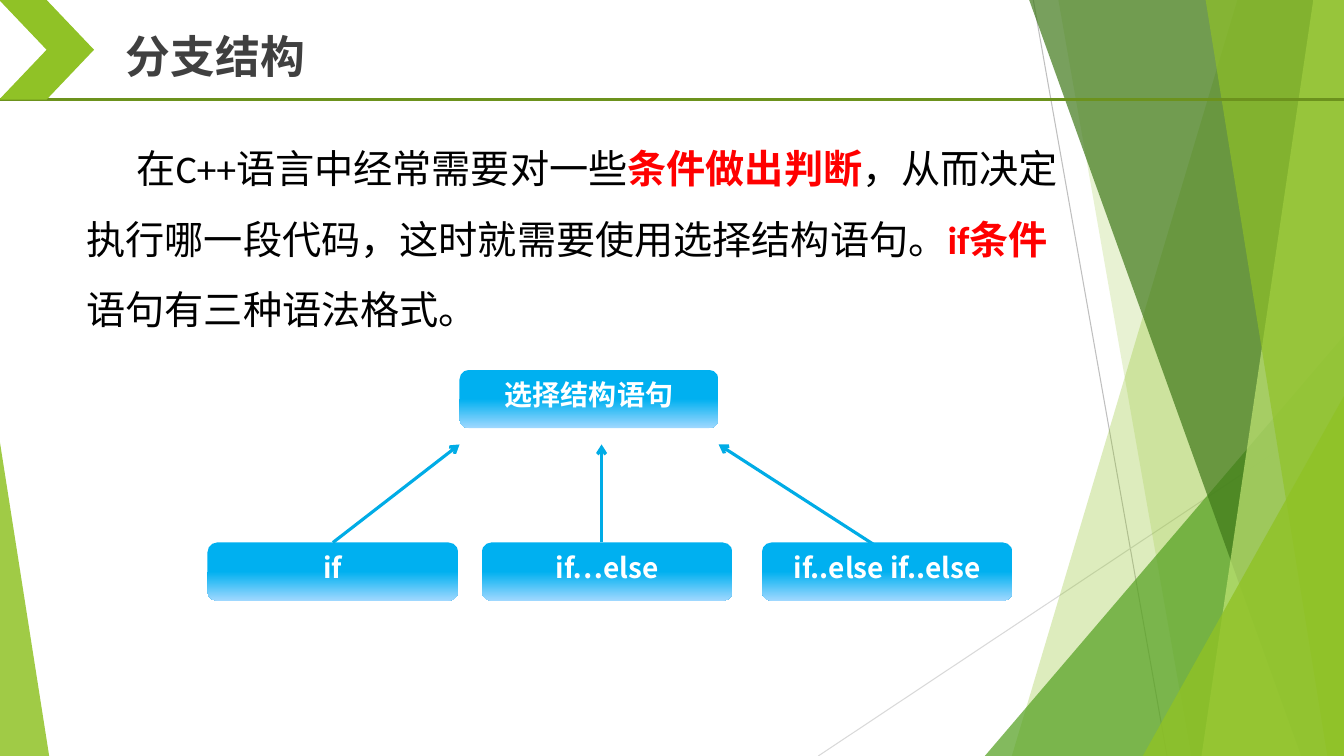
from copy import deepcopy

from pptx import Presentation
from pptx import util as u
from pptx.dml.color import RGBColor
from pptx.enum import shapes, text
from pptx.oxml.ns import qn
from lxml import etree

LIME = RGBColor(0x90, 0xC2, 0x26)
PALE_LIME = RGBColor(0xC0, 0xE4, 0x74)
GREEN = RGBColor(0x54, 0xA0, 0x21)
DARK_GREEN = RGBColor(0x3F, 0x78, 0x19)
OLIVE = RGBColor(0x6C, 0x92, 0x1D)
GREY = RGBColor(0xBF, 0xBF, 0xBF)
LIGHT_GREY = RGBColor(0xD9, 0xD9, 0xD9)
CHARCOAL = RGBColor(0x40, 0x40, 0x40)
BLACK = RGBColor(0, 0, 0)
RED = RGBColor(0xFF, 0, 0)
WHITE = RGBColor(0xFF, 0xFF, 0xFF)
SKY = RGBColor(0x00, 0xB0, 0xF0)
PALE_SKY = RGBColor(0x9F, 0xD8, 0xFF)
ARROW_BLUE = RGBColor(0x00, 0xAC, 0xE6)

CJK = "Noto Sans CJK SC"
W, H = 33.87, 19.05
BLEED = -0.02


class Deck:
    """Holds the text styles and the current slide."""

    heading = dict(name=CJK, size=u.Pt(32), bold=True, color=CHARCOAL)
    body = dict(name="Calibri", size=u.Pt(28), bold=False, color=BLACK)
    key = dict(body, bold=True, color=RED)
    label = dict(name=CJK, size=u.Pt(20), bold=True, color=WHITE)

    def __init__(self, prs):
        self.s = prs.slides.add_slide(prs.slide_layouts[6])

    def run(self, p, words, style):
        r = p.add_run()
        r.text = words
        for k, v in style.items():
            if k == "color":
                r.font.color.rgb = v
            else:
                setattr(r.font, k, v)
        ea = etree.SubElement(r.font._element, qn("a:ea"))
        ea.set("typeface", CJK)

    def paint(self, sp, color, opacity=100):
        sp.shadow.inherit = False
        sp.line.fill.background()
        sp.fill.solid()
        sp.fill.fore_color.rgb = color
        if opacity < 100:
            clr = sp._element.spPr.find(".//" + qn("a:srgbClr"))
            etree.SubElement(clr, qn("a:alpha")).set("val", str(opacity * 1000))

    def preset(self, kind, box, color, opacity=100, adj=None):
        sp = self.s.shapes.add_shape(kind, *map(u.Cm, box))
        if adj is not None:
            sp.adjustments[0] = adj
        self.paint(sp, color, opacity)
        return sp

    def band(self, top_x, bottom_x, color, opacity):
        """Slanted band running from its left edge to the slide's right side."""
        pts = [(top_x, BLEED), (W, BLEED), (W, H), (bottom_x, H)]
        pts = [(u.Cm(x), u.Cm(y)) for x, y in pts]
        fb = self.s.shapes.build_freeform(*pts[0], scale=1.0)
        fb.add_line_segments(pts[1:], close=True)
        self.paint(fb.convert_to_shape(), color, opacity)

    def line(self, start, end, color, width, arrow=False):
        c = self.s.shapes.add_connector(
            shapes.MSO_CONNECTOR.STRAIGHT, *map(u.Cm, start + end))
        c.line.color.rgb = color
        c.line.width = u.Pt(width)
        if arrow:
            ln = c._element.spPr.find(qn("a:ln"))
            etree.SubElement(ln, qn("a:tailEnd")).set("type", "arrow")
        etree.SubElement(c._element.spPr, qn("a:effectLst"))
        return c

    def text(self, box, runs, **fmt):
        tf = self.s.shapes.add_textbox(*map(u.Cm, box)).text_frame
        tf.word_wrap = True
        p = tf.paragraphs[0]
        for k, v in fmt.items():
            setattr(p, k, v)
        for words, style in runs:
            self.run(p, words, style)
        return p

    def node(self, box, words):
        sp = self.preset(shapes.MSO_SHAPE.ROUNDED_RECTANGLE, box, SKY, adj=0.167)
        sp.fill.gradient()
        sp.fill.gradient_angle = 270
        stops = sp._element.spPr.find(".//" + qn("a:gsLst"))
        stops.insert(1, deepcopy(stops[0]))
        for stop, pos, color in zip(sp.fill.gradient_stops, (0, 0.5, 1),
                                    (SKY, SKY, PALE_SKY)):
            stop.position = pos
            stop.color.rgb = color
        tf = sp.text_frame
        tf.word_wrap = True
        tf.vertical_anchor = text.MSO_ANCHOR.TOP
        p = tf.paragraphs[0]
        p.alignment = text.PP_ALIGN.CENTER
        self.run(p, words, self.label)
        return sp


def main():
    prs = Presentation()
    prs.slide_width, prs.slide_height = u.Cm(W), u.Cm(H)
    d = Deck(prs)
    triangle = shapes.MSO_SHAPE.ISOSCELES_TRIANGLE

    # Background facets
    d.line((26.04, 0), (29.41, H), GREY, 0.75)
    d.line((W, 10.24), (20.62, H), LIGHT_GREY, 0.75)
    d.band(31.19, 25.5, LIME, 30)
    d.band(26.67, 30.02, LIME, 20)
    d.preset(triangle, (24.82, 8.46, 9.05, 10.59), GREEN, 72, adj=1)
    d.band(25.93, 32.79, DARK_GREEN, 70)
    d.band(33.1, 30.28, PALE_LIME, 70)
    d.band(30.38, 33.45, LIME, 65)
    d.preset(triangle, (28.8, 9.98, 5.07, 9.07), LIME, 80, adj=1)
    d.preset(triangle, (0, 11.15, 1.24, 7.9), LIME, 85, adj=0)

    # Heading
    d.line((0, 2.51), (W, 2.51), OLIVE, 2.25)
    d.preset(shapes.MSO_SHAPE.CHEVRON, (BLEED, 0, 2.39, 2.51), LIME)
    d.text((2.92, 0.61, 11, 1.63), [("分支结构", d.heading)])

    # Explanation
    p = d.text((1.93, 2.92, 25.4, 5.64), [
        ("在C++语言中经常需要对一些", d.body),
        ("条件做出判断", d.key),
        ("，从而决定执行哪一段代码，这时就需要使用选择结构语句。", d.body),
        ("if条件", d.key),
        ("语句有三种语法格式。", d.body),
    ], line_spacing=1.5)
    p._p.get_or_add_pPr().set("indent", str(u.Cm(1.27)))

    # Tree of statements: arrows run from the three forms up to the root
    root_x, root_w, node_w, node_h = 11.58, 6.53, 6.32, 1.47
    form_y, tip_y, mid_x = 13.67, 11.2, 15.16
    d.node((root_x, 9.32, root_w, node_h), "选择结构语句")
    if_node = d.node((5.23, form_y, node_w, node_h), "if")
    d.line((22.53, 14.05), (root_x + root_w, tip_y), ARROW_BLUE, 2.25, arrow=True)
    c = d.line((8.39, form_y), (root_x, tip_y), ARROW_BLUE, 2.25, arrow=True)
    c.begin_connect(if_node, 0)
    for x, words in ((12.14, "if…else"), (19.2, "if..else if..else")):
        d.node((x, form_y, node_w, node_h), words)
    d.line((mid_x, form_y), (mid_x, tip_y), ARROW_BLUE, 2.25, arrow=True)

    prs.save("out.pptx")


if __name__ == "__main__":
    main()
